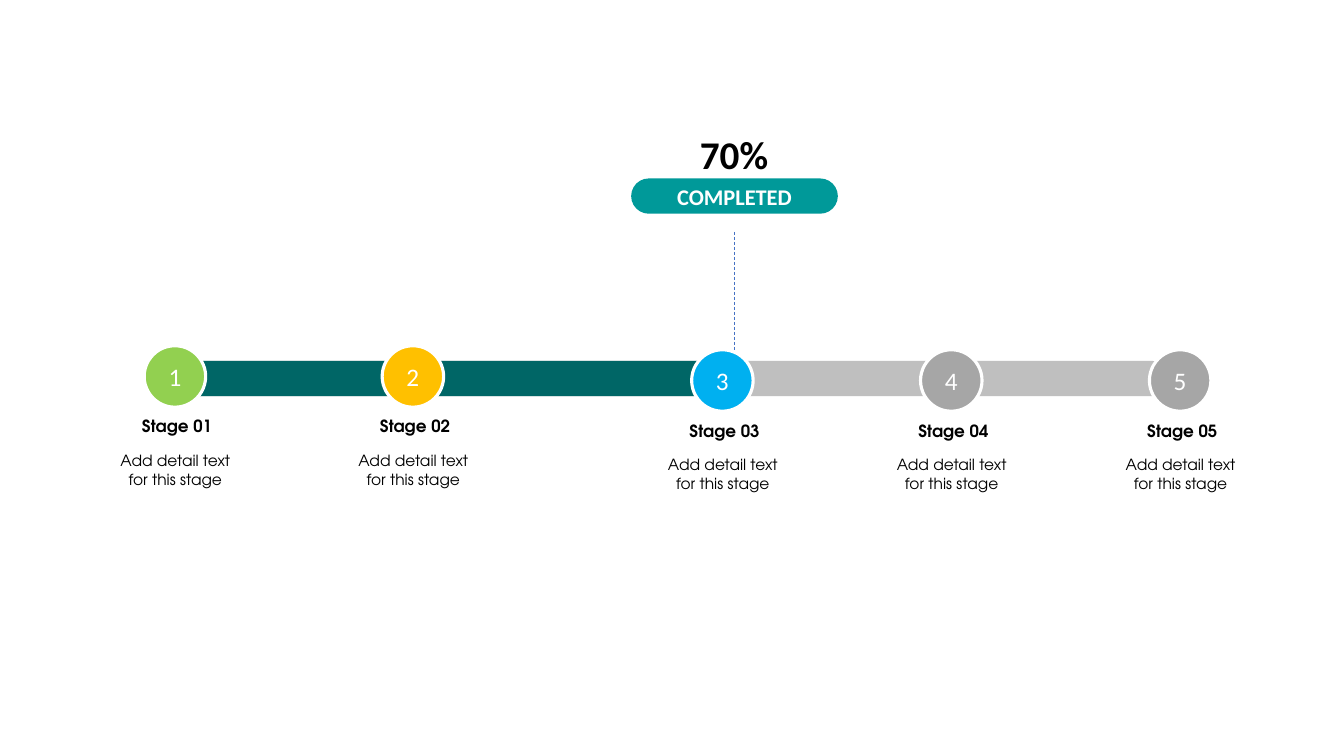
from dataclasses import dataclass

from lxml import etree
from pptx import Presentation
from pptx.dml.color import RGBColor
from pptx.enum import dml, shapes, text
from pptx.oxml import ns
from pptx.util import Inches, Pt


@dataclass(frozen=True)
class Theme:
    white: str = "FFFFFF"
    ink: str = "000000"
    track: str = "BFBFBF"
    done: str = "006666"
    badge: str = "009999"
    guide: str = "4472C4"
    green: str = "92D050"
    amber: str = "FFC000"
    blue: str = "00B0F0"
    grey: str = "A6A6A6"
    main_font: str = "Calibri"
    stage_font: str = "TeX Gyre Adventor"
    percent: int = 28
    number: int = 18
    label: int = 16
    head: int = 12
    detail: int = 11


THEME = Theme()
SHAPE = shapes.MSO_SHAPE
CENTER = text.PP_ALIGN.CENTER
LEFT = text.PP_ALIGN.LEFT

BAR_LEFT, BAR_TOP, BAR_HIGH = 1.73, 3.58, 0.35
DOT_SIZE = 0.61
STAGES = [
    (1.43, 3.43, THEME.green),
    (3.79, 3.43, THEME.amber),
    (6.86, 3.47, THEME.blue),
    (9.13, 3.47, THEME.grey),
    (11.4, 3.47, THEME.grey),
]


def color(code):
    return RGBColor.from_string(code)


def write(frame, words, size, ink, font=THEME.main_font, bold=False, align=CENTER):
    frame.word_wrap = True
    line = frame.paragraphs[0]
    line.alignment = align
    run = line.add_run()
    run.text = words
    run.font.name = font
    run.font.size = Pt(size)
    run.font.bold = bold
    run.font.color.rgb = color(ink)


def add_form(slide, kind, left, top, wide, high, fill):
    form = slide.shapes.add_shape(
        kind, Inches(left), Inches(top), Inches(wide), Inches(high))
    form.shadow.inherit = False
    form.fill.solid()
    form.fill.fore_color.rgb = color(fill)
    form.line.fill.background()
    form.text_frame.vertical_anchor = text.MSO_ANCHOR.MIDDLE
    return form


def add_pill(slide, left, top, wide, fill):
    """Add a bar with fully rounded ends."""
    pill = add_form(slide, SHAPE.ROUNDED_RECTANGLE, left, top, wide, BAR_HIGH, fill)
    pill.adjustments[0] = 0.5
    return pill


def add_text(slide, left, top, wide, high, words, size, **style):
    box = slide.shapes.add_textbox(
        Inches(left), Inches(top), Inches(wide), Inches(high))
    write(box.text_frame, words, size, THEME.ink, **style)
    box.text_frame.auto_size = text.MSO_AUTO_SIZE.SHAPE_TO_FIT_TEXT


def add_guide(slide, left, top, end):
    """Add the dashed upright line from the badge to the bar."""
    guide = slide.shapes.add_connector(
        shapes.MSO_CONNECTOR.STRAIGHT,
        Inches(left), Inches(top), Inches(left), Inches(end))
    guide.line.color.rgb = color(THEME.guide)
    guide.line.width = Pt(0.5)
    guide.line.dash_style = dml.MSO_LINE.DASH
    etree.SubElement(guide.element.spPr, ns.qn("a:effectLst"))


def add_stage(slide, number, left, top, fill):
    dot = add_form(slide, SHAPE.OVAL, left, top, DOT_SIZE, DOT_SIZE, fill)
    dot.line.color.rgb = color(THEME.white)
    dot.line.width = Pt(2.25)
    write(dot.text_frame, str(number), THEME.number, THEME.white)
    add_text(slide, left - 0.12, top + 0.65, 1.46, 0.3, f"Stage {number:02}",
             THEME.head, font=THEME.stage_font, bold=True, align=LEFT)
    add_text(slide, left - 0.42, top + 1, 1.46, 0.47,
             "Add detail text for this stage", THEME.detail, font=THEME.stage_font)


def main():
    deck = Presentation()
    deck.slide_width, deck.slide_height = Inches(13.33), Inches(7.5)
    slide = deck.slides.add_slide(deck.slide_layouts[6])

    add_pill(slide, BAR_LEFT, BAR_TOP, 9.87, THEME.track)
    add_pill(slide, BAR_LEFT, BAR_TOP, 5.7, THEME.done)
    add_guide(slide, 7.28, 2.3, 3.54)
    badge = add_pill(slide, 6.26, 1.77, 2.05, THEME.badge)
    write(badge.text_frame, "COMPLETED", THEME.label, THEME.white, bold=True)
    add_text(slide, 6.7, 1.24, 1.16, 0.57, "70%", THEME.percent, bold=True)
    for number, stage in enumerate(STAGES, 1):
        add_stage(slide, number, *stage)

    deck.save("out.pptx")


if __name__ == "__main__":
    main()
